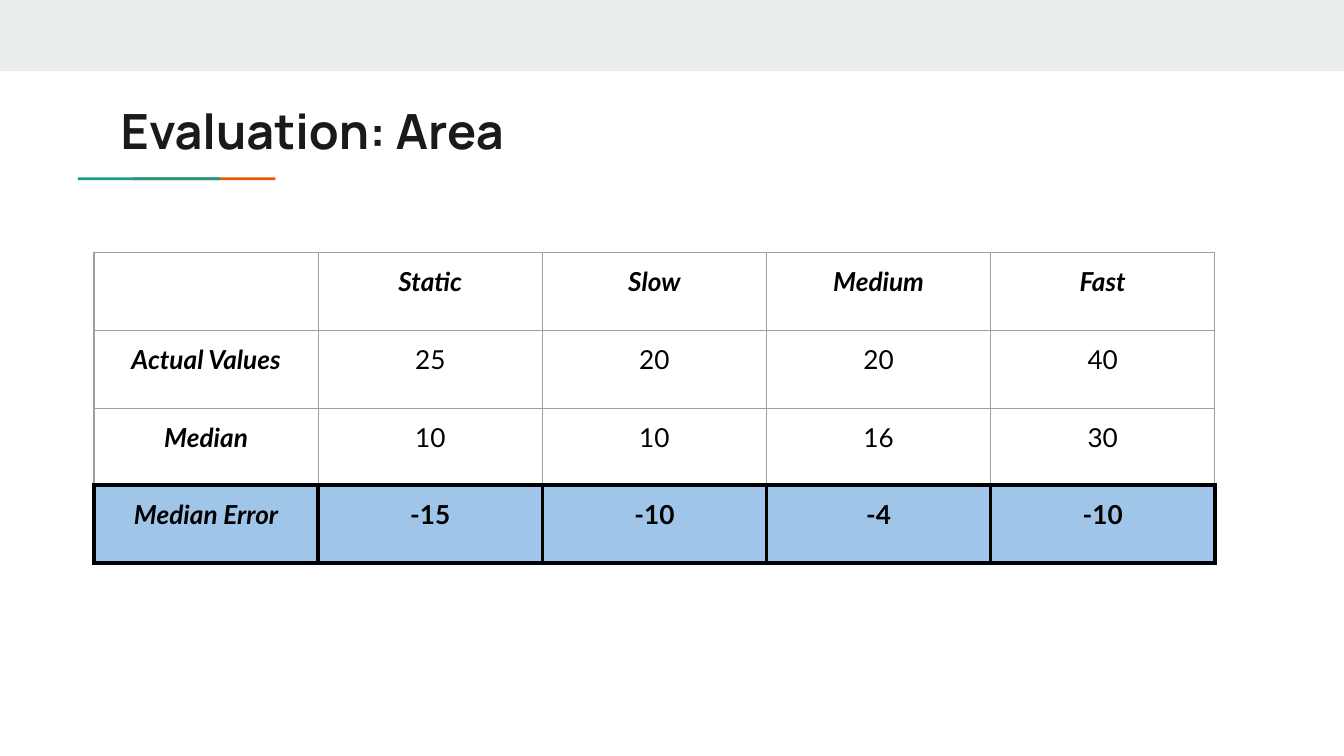
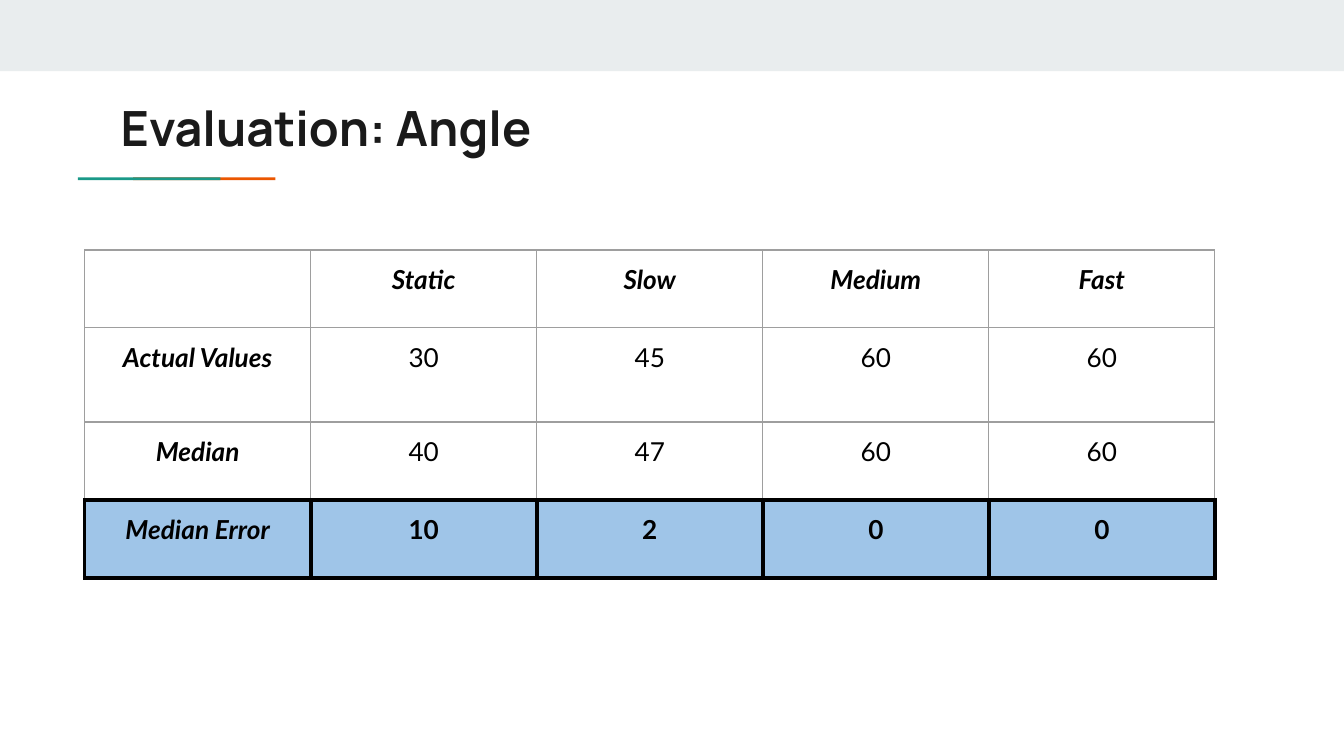
from dataclasses import dataclass

from lxml import etree
from pptx import Presentation
from pptx.dml.color import RGBColor
from pptx.enum.shapes import MSO_SHAPE
from pptx.enum.text import MSO_ANCHOR, PP_ALIGN
from pptx.oxml.ns import qn
from pptx.util import Inches, Pt

RECTANGLE = MSO_SHAPE.RECTANGLE
CENTER = PP_ALIGN.CENTER
TOP = MSO_ANCHOR.TOP


@dataclass(frozen=True)
class Theme:
    band: str = "E9EDEE"
    orange: str = "EB5600"
    teal: str = "1A9988"
    title: str = "1A1A1A"
    text: str = "000000"
    grid: str = "9E9E9E"
    highlight: str = "9FC5E8"
    title_font: str = "Manrope"
    body_font: str = "Lato"
    title_size: float = 26
    body_size: float = 14
    thin: float = 0.75
    thick: float = 2.25
    inset: float = 0.1


THEME = Theme()
SLIDE_WIDTH = 10
SLIDE_HEIGHT = SLIDE_WIDTH * 9 / 16
SPEEDS = ["", "Static", "Slow", "Medium", "Fast"]

EVALUATIONS = [
    {
        "title": "Evaluation: Area",
        "title_top": 0.65,
        "table_at": (0.7, 1.88),
        "table_width": 8.34,
        "row_heights": [0.58, 0.58, 0.57, 0.58],
        "results": [
            ["Actual Values", "25", "20", "20", "40"],
            ["Median", "10", "10", "16", "30"],
            ["Median Error", "-15", "-10", "-4", "-10"],
        ],
    },
    {
        "title": "Evaluation: Angle",
        "title_top": 0.63,
        "table_at": (0.63, 1.86),
        "table_width": 8.41,
        "row_heights": [0.58, 0.7, 0.58, 0.58],
        "results": [
            ["Actual Values", "30", "45", "60", "60"],
            ["Median", "40", "47", "60", "60"],
            ["Median Error", "10", "2", "0", "0"],
        ],
    },
]

BARS = [
    (0, 0, SLIDE_WIDTH, 0.53, THEME.band),
    (0.99, 1.32, 1.06, 0.02, THEME.orange),
    (0.58, 1.32, 1.06, 0.02, THEME.teal),
]


def add_bar(slide, left, top, width, height, color):
    bar = slide.shapes.add_shape(
        RECTANGLE, Inches(left), Inches(top), Inches(width), Inches(height)
    )
    bar.shadow.inherit = False
    bar.fill.solid()
    bar.fill.fore_color.rgb = RGBColor.from_string(color)
    bar.line.fill.background()


def add_run(paragraph, words, font, size, color, bold=False, italic=False):
    run = paragraph.add_run()
    run.text = words
    run.font.name = font
    run.font.size = Pt(size)
    run.font.color.rgb = RGBColor.from_string(color)
    run.font.bold = bold
    run.font.italic = italic


def set_insets(holder):
    holder.margin_left = holder.margin_right = Inches(THEME.inset)
    holder.margin_top = holder.margin_bottom = Inches(THEME.inset)


def add_title(slide, title, top):
    frame = slide.shapes.add_textbox(
        Inches(0.8), Inches(top), Inches(8.41), Inches(0.59)
    ).text_frame
    frame.word_wrap = True
    frame.vertical_anchor = TOP
    set_insets(frame)
    add_run(frame.paragraphs[0], title, THEME.title_font, THEME.title_size,
            THEME.title, bold=True)


def set_borders(cell, thick_sides):
    properties = cell._tc.get_or_add_tcPr()
    for side in "LRTB":
        thick = side in thick_sides
        weight = THEME.thick if thick else THEME.thin
        line = etree.SubElement(properties, qn(f"a:ln{side}"), w=str(Pt(weight)))
        fill = etree.SubElement(line, qn("a:solidFill"))
        etree.SubElement(fill, qn("a:srgbClr"), val=THEME.text if thick else THEME.grid)


def add_results(slide, evaluation):
    rows = [SPEEDS] + evaluation["results"]
    heights = evaluation["row_heights"]
    left, top = evaluation["table_at"]
    width = evaluation["table_width"]
    table = slide.shapes.add_table(
        len(rows), len(SPEEDS), Inches(left), Inches(top),
        Inches(width), Inches(sum(heights)),
    ).table
    table.first_row = table.horz_banding = False
    for column in table.columns:
        column.width = Inches(width / len(SPEEDS))

    error_row = len(rows) - 1
    for r, values in enumerate(rows):
        table.rows[r].height = Inches(heights[r])
        thick_sides = {error_row: "LRTB", error_row - 1: "B"}.get(r, "")
        for c, value in enumerate(values):
            cell = table.cell(r, c)
            set_insets(cell)
            set_borders(cell, thick_sides)
            if r == error_row:
                cell.fill.solid()
                cell.fill.fore_color.rgb = RGBColor.from_string(THEME.highlight)
            else:
                cell.fill.background()
            if value:
                label = r == 0 or c == 0
                paragraph = cell.text_frame.paragraphs[0]
                paragraph.alignment = CENTER
                add_run(paragraph, value, THEME.body_font, THEME.body_size,
                        THEME.text, bold=label or r == error_row, italic=label)


def main():
    deck = Presentation()
    deck.slide_width = Inches(SLIDE_WIDTH)
    deck.slide_height = Inches(SLIDE_HEIGHT)
    for evaluation in EVALUATIONS:
        slide = deck.slides.add_slide(deck.slide_layouts[6])
        for bar in BARS:
            add_bar(slide, *bar)
        add_title(slide, evaluation["title"], evaluation["title_top"])
        add_results(slide, evaluation)
    deck.save("out.pptx")


if __name__ == "__main__":
    main()
